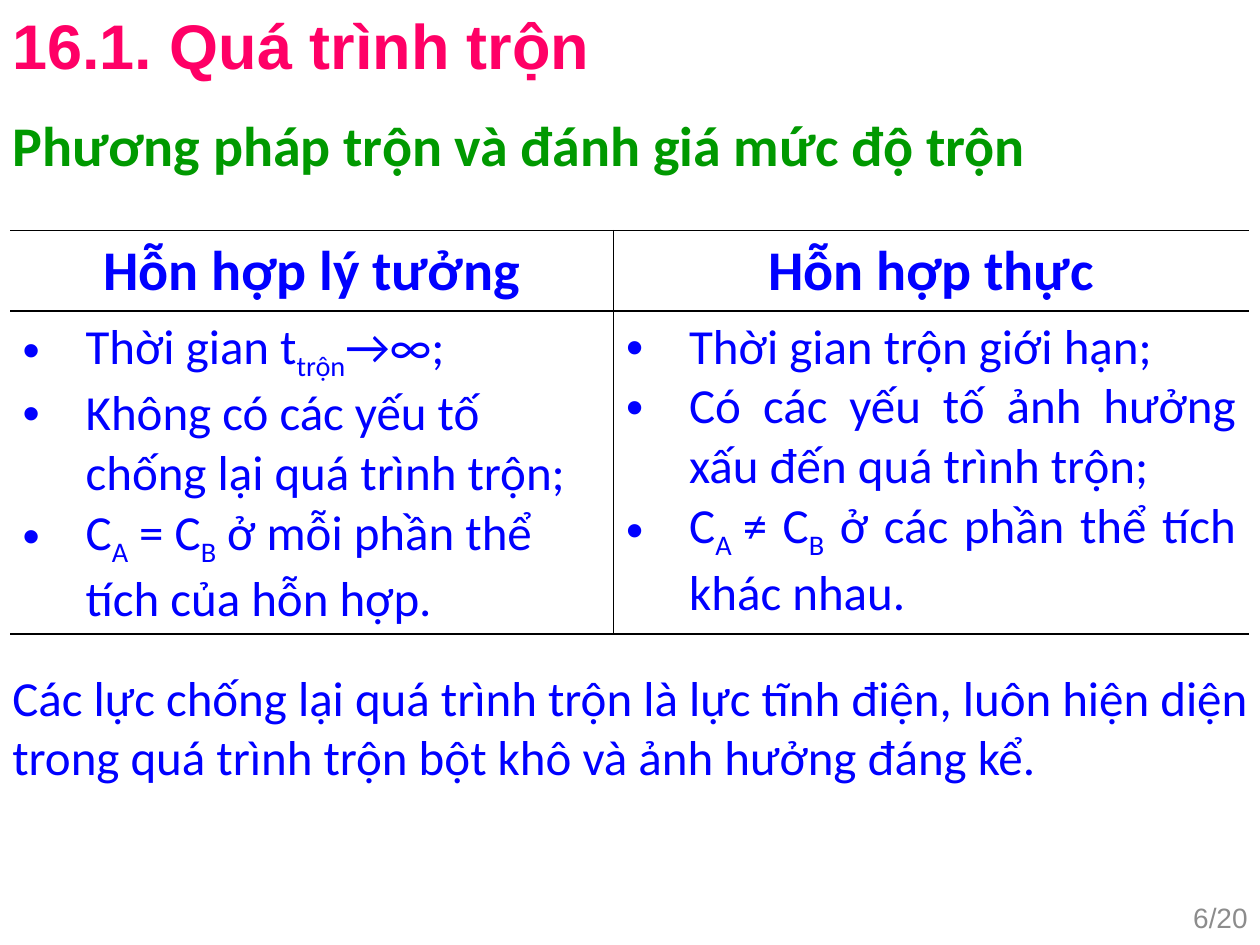
from lxml import etree
from pptx import Presentation
from pptx import util as u
from pptx.dml.color import RGBColor
from pptx.enum import text
from pptx.oxml import ns

HUES = {"title": "FF0066", "head": "009900", "body": "0000FF",
        "page": "8C8C8C", "rule": "000000"}
ALIGN = text.PP_ALIGN
LEFT, MID, RIGHT, JUST = ALIGN.LEFT, ALIGN.CENTER, ALIGN.RIGHT, ALIGN.JUSTIFY


class Deck:
    """Holds the style and the current slide."""

    def __init__(self, wide, high):
        self.prs = Presentation()
        self.prs.slide_width = u.Inches(wide)
        self.prs.slide_height = u.Inches(high)
        self.slide = self.prs.slides.add_slide(self.prs.slide_layouts[6])

    def fill_para(self, para, runs, size, hue, bold=False, font="Calibri", align=LEFT):
        """Add runs in turn; every second one is a subscript."""
        para.alignment = align
        for i, words in enumerate(runs):
            run = para.add_run()
            run.text = words
            run.font.size = u.Pt(size)
            run.font.name = font
            run.font.bold = bold
            run.font.color.rgb = RGBColor.from_string(HUES[hue])
            if i % 2:
                run._r.get_or_add_rPr().set("baseline", "-25000")

    def label(self, box, words, size, hue, anchor=text.MSO_ANCHOR.TOP, **style):
        frame = self.slide.shapes.add_textbox(*map(u.Inches, box)).text_frame
        frame.word_wrap = True
        frame.vertical_anchor = anchor
        self.fill_para(frame.paragraphs[0], [words], size, hue, **style)

    def bullet(self, para):
        props = para._p.get_or_add_pPr()
        props.set("marL", str(u.Inches(0.5)))
        props.set("indent", str(u.Inches(-0.5)))
        etree.SubElement(props, ns.qn("a:buFont")).set("typeface", "Arial")
        etree.SubElement(props, ns.qn("a:buChar")).set("char", "•")

    def border(self, cell, sides):
        """Rule the named sides (of L, R, T, B) and clear the others."""
        props = cell._tc.get_or_add_tcPr()
        for i, side in enumerate("LRTB"):
            line = etree.Element(ns.qn("a:ln" + side), w=str(u.Pt(1)))
            if side in sides:
                fill = etree.SubElement(line, ns.qn("a:solidFill"))
                etree.SubElement(fill, ns.qn("a:srgbClr")).set("val", HUES["rule"])
            else:
                etree.SubElement(line, ns.qn("a:noFill"))
            props.insert(i, line)

    def table(self, left, top, cols, rows, heads, lists, aligns):
        size = map(u.Inches, (left, top, sum(cols), sum(rows)))
        grid = self.slide.shapes.add_table(len(rows), len(cols), *size).table
        grid.first_row = grid.horz_banding = False
        for row, high in zip(grid.rows, rows):
            row.height = u.Inches(high)
        for i, wide in enumerate(cols):
            grid.columns[i].width = u.Inches(wide)
            head, body = grid.cell(0, i), grid.cell(1, i)
            for cell in (head, body):
                cell.fill.background()
                self.border(cell, "LTB" if i else "RTB")
            self.fill_para(head.text_frame.paragraphs[0], [heads[i]], 32, "body",
                           bold=True, align=MID)
            frame = body.text_frame
            for j, runs in enumerate(lists[i]):
                para = frame.add_paragraph() if j else frame.paragraphs[0]
                self.bullet(para)
                self.fill_para(para, runs, 28, "body", align=aligns[i])


def main():
    deck = Deck(10, 7.5)
    deck.label((0, 0, 10, 0.71), "16.1. Quá trình trộn", 36, "title",
               bold=True, font="Arial")
    deck.label((0, 0.83, 10, 0.64), "Phương pháp trộn và đánh giá mức độ trộn",
               32, "head", bold=True, align=JUST)
    ideal = [["Thời gian t", "trộn", "→∞;"],
             ["Không có các yếu tố chống lại quá trình trộn;"],
             ["C", "A", " = C", "B", " ở mỗi phần thể tích của hỗn hợp."]]
    real = [["Thời gian trộn giới hạn;"],
            ["Có các yếu tố ảnh hưởng xấu đến quá trình trộn;"],
            ["C", "A ", "≠ C", "B", " ở các phần thể tích khác nhau."]]
    deck.table(0.08, 1.83, (4.79, 5.04), (0.64, 2.56),
               ("Hỗn hợp lý tưởng", "Hỗn hợp thực"), (ideal, real), (LEFT, JUST))
    deck.label((0, 5.25, 10, 1.04),
               "Các lực chống lại quá trình trộn là lực tĩnh điện, luôn hiện diện "
               "trong quá trình trộn bột khô và ảnh hưởng đáng kể.",
               28, "body", align=JUST)
    deck.label((7.67, 7.08, 2.33, 0.4), "6/20", 16, "page",
               anchor=text.MSO_ANCHOR.MIDDLE, font="Arial", align=RIGHT)
    deck.prs.save("out.pptx")


if __name__ == "__main__":
    main()
